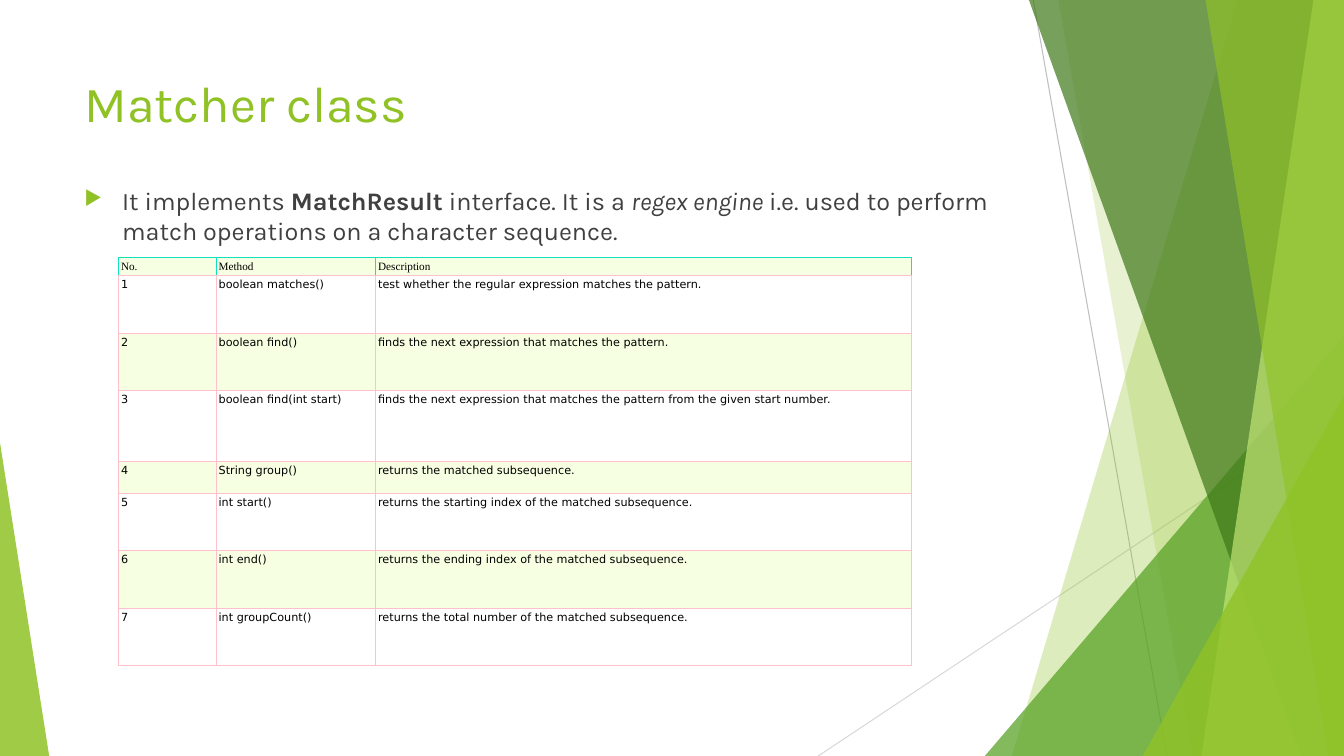
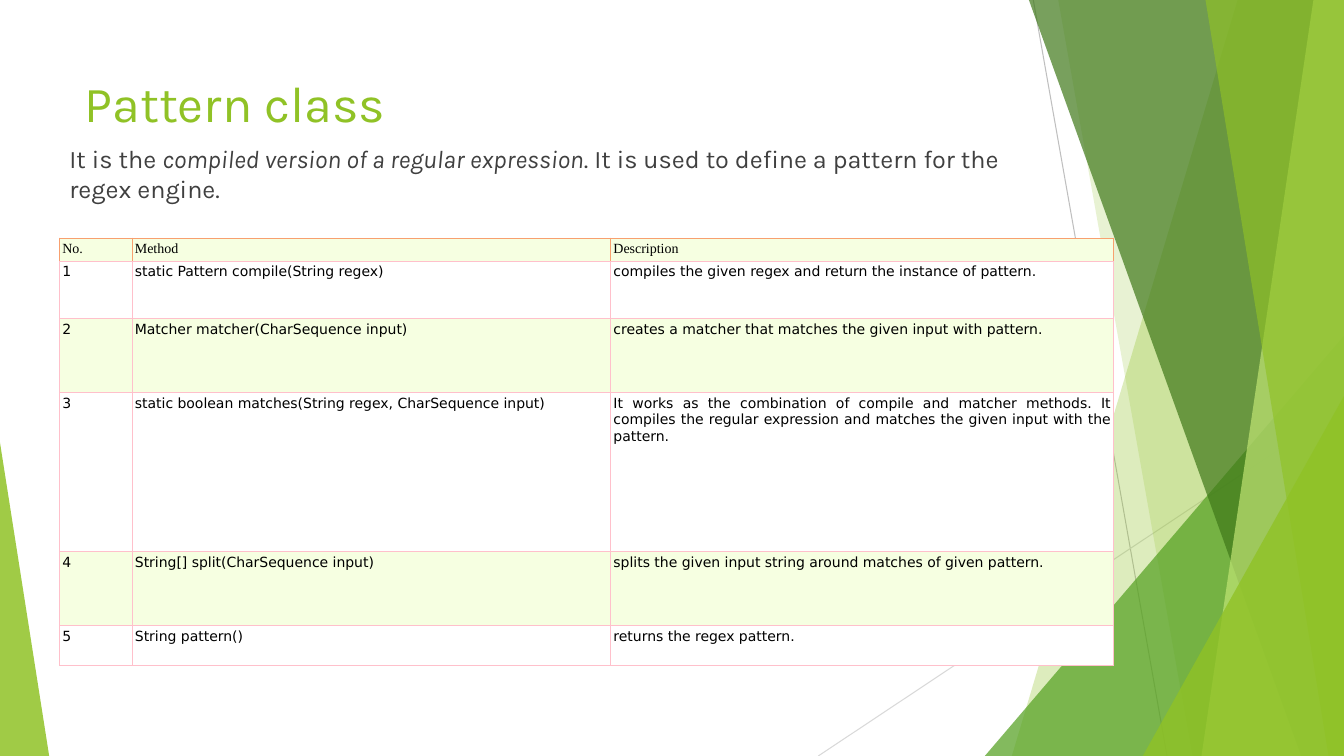
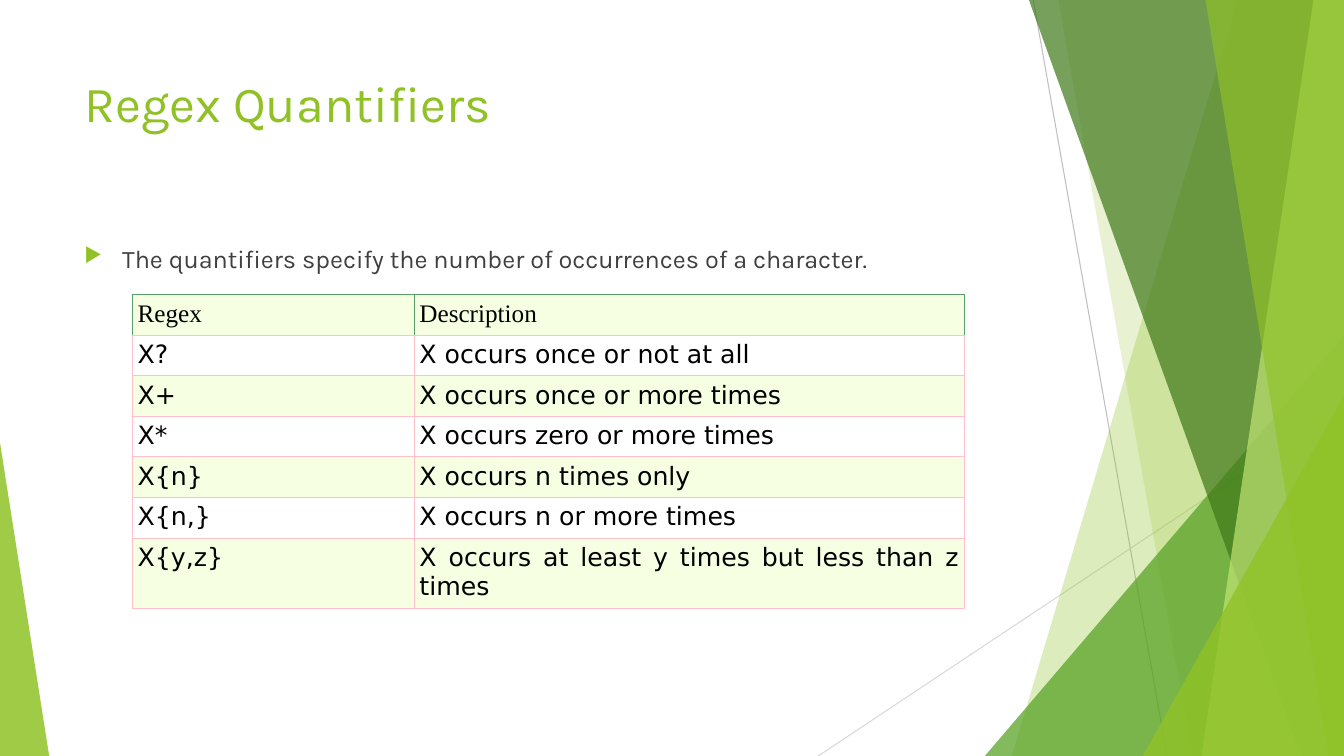
from lxml.etree import SubElement
from pptx import Presentation
from pptx.dml.color import RGBColor
from pptx.enum.shapes import MSO_CONNECTOR, MSO_SHAPE
from pptx.enum.text import MSO_ANCHOR, PP_ALIGN
from pptx.oxml.ns import qn
from pptx.util import Cm, Pt

WIDTH, HEIGHT = 33.87, 19.05
GREEN, GRAY, BLACK, WHITE = "90C226", "404040", "000000", "FFFFFF"
PALE, PINK = "F6FFE1", "FFC0CB"
FONT, HEADER_FONT, CELL_FONT = "Karla", "Times New Roman", "DejaVu Sans"
TITLE_BOX = (1.88, 1.7, 23.88, 3.66)
FACETS_BOX = (20.62, 0, 13.25, HEIGHT)
CORNER_BOX = (0, 11.15, 1.24, 7.9)


def color(value):
    return RGBColor.from_string(value)


def paint(shape, value, opacity):
    shape.shadow.inherit = False
    shape.line.fill.background()
    shape.fill.solid()
    shape.fill.fore_color.rgb = color(value)
    rgb = shape.fill._xPr.find(".//" + qn("a:srgbClr"))
    SubElement(rgb, qn("a:alpha"), val=str(opacity * 1000))


def add_line(s, start, end, value):
    line = s.shapes.add_connector(MSO_CONNECTOR.STRAIGHT, *map(Cm, start + end))
    line.line.color.rgb = color(value)
    line.line.width = Pt(0.75)
    SubElement(line._element.spPr, qn("a:effectLst"))


def add_triangle(s, box, apex, value, opacity):
    triangle = s.shapes.add_shape(MSO_SHAPE.ISOSCELES_TRIANGLE, *map(Cm, box))
    triangle.adjustments[0] = apex
    paint(triangle, value, opacity)


def add_facets(s, box):
    left, top, width, height = box
    right, bottom = left + width, top + height

    def band(upper, lower, value, opacity):
        builder = s.shapes.build_freeform(Cm(left + upper), Cm(top))
        corners = [(right, top), (right, bottom), (left + lower, bottom)]
        builder.add_line_segments([(Cm(x), Cm(y)) for x, y in corners], close=True)
        paint(builder.convert_to_shape(), value, opacity)

    def wedge(x, y, value, opacity):
        add_triangle(s, (left + x, top + y, width - x, height - y), 1, value, opacity)

    add_line(s, (left + 5.42, top), (left + 8.79, bottom), "BFBFBF")
    add_line(s, (right, top + 10.24), (left, bottom), "D9D9D9")
    band(10.57, 4.88, GREEN, 30)
    band(6.05, 9.43, GREEN, 20)
    wedge(4.2, 8.46, "54A021", 72)
    band(5.31, 12.17, "3F7819", 70)
    band(12.48, 9.66, "C0E474", 70)
    band(9.76, 12.86, GREEN, 65)
    wedge(8.18, 9.98, GREEN, 80)


def add_run(p, text, font, size, value, bold=False, italic=False):
    r = p.add_run()
    r.text = text
    r.font.name, r.font.size = font, Pt(size)
    r.font.bold, r.font.italic = bold, italic
    r.font.color.rgb = color(value)


def add_text_box(s, box):
    tf = s.shapes.add_textbox(*map(Cm, box)).text_frame
    tf.word_wrap = True
    tf.vertical_anchor = MSO_ANCHOR.TOP
    return tf.paragraphs[0]


def add_bullet(p):
    pPr = p._p.get_or_add_pPr()
    pPr.set("marL", str(Cm(0.95)))
    pPr.set("indent", str(-Cm(0.95)))
    SubElement(SubElement(pPr, qn("a:buClr")), qn("a:srgbClr"), val=GREEN)
    SubElement(pPr, qn("a:buSzPct"), val="80000")
    SubElement(pPr, qn("a:buChar"), char="▶")


def add_body(s, box, runs, bullet):
    p = add_text_box(s, box)
    if bullet:
        add_bullet(p)
    for text, style in runs:
        add_run(p, text, FONT, 18, GRAY, style == "bold", style == "italic")


def set_borders(cell, edge):
    tcPr = cell._tc.get_or_add_tcPr()
    for position, (side, value) in enumerate(zip("LRTB", (edge, edge, edge, PINK))):
        ln = SubElement(tcPr, qn("a:ln" + side), w=str(Pt(0.75)))
        fill = SubElement(ln, qn("a:solidFill"))
        SubElement(fill, qn("a:srgbClr"), val=value)
        tcPr.insert(position, ln)


def add_grid(s, origin, widths, heights, rows, size, inset, header_edge):
    box = (*origin, sum(widths), sum(heights))
    table = s.shapes.add_table(len(rows), len(widths), *map(Cm, box)).table
    table.first_row = table.horz_banding = False
    for column, width in zip(table.columns, widths):
        column.width = Cm(width)
    for i, (row, height, texts) in enumerate(zip(table.rows, heights, rows)):
        row.height = Cm(height)
        for cell, text in zip(row.cells, texts):
            cell.margin_left = cell.margin_right = Cm(inset)
            cell.margin_top = cell.margin_bottom = Cm(inset)
            cell.fill.solid()
            cell.fill.fore_color.rgb = color(WHITE if i % 2 else PALE)
            set_borders(cell, PINK if i else header_edge)
            p = cell.text_frame.paragraphs[0]
            p.alignment = PP_ALIGN.JUSTIFY if i else PP_ALIGN.LEFT
            add_run(p, text, CELL_FONT if i else HEADER_FONT, size, BLACK)


def add_slide(prs, title):
    s = prs.slides.add_slide(prs.slide_layouts[6])
    add_facets(s, FACETS_BOX)
    add_triangle(s, CORNER_BOX, 0, GREEN, 85)
    add_run(add_text_box(s, TITLE_BOX), title, FONT, 36, GREEN)
    return s


def numbered(methods):
    rows = [(str(n), *method) for n, method in enumerate(methods, 1)]
    return [("No.", "Method", "Description")] + rows


def matcher_slide(prs):
    s = add_slide(prs, "Matcher class")
    add_body(s, (1.88, 4.55, 23.88, 12.24), [
        ("It implements ", None),
        ("MatchResult", "bold"),
        (" interface. It is a ", None),
        ("regex engine", "italic"),
        (" i.e. used to perform match operations on a character sequence.", None),
    ], bullet=True)
    rows = numbered([
        ("boolean matches()", "test whether the regular expression matches the pattern."),
        ("boolean find()", "finds the next expression that matches the pattern."),
        ("boolean find(int start)",
         "finds the next expression that matches the pattern from the given start number."),
        ("String group()", "returns the matched subsequence."),
        ("int start()", "returns the starting index of the matched subsequence."),
        ("int end()", "returns the ending index of the matched subsequence."),
        ("int groupCount()", "returns the total number of the matched subsequence."),
    ])
    heights = [0.45, 1.45, 1.45, 1.79, 0.79, 1.45, 1.45, 1.45]
    add_grid(s, (2.99, 6.49), [2.46, 4.02, 13.49], heights, rows, 8, 0.06, "10E2BC")


def pattern_slide(prs):
    s = add_slide(prs, "Pattern class")
    add_body(s, (1.5, 3.48, 24.26, 13.31), [
        ("It is the ", None),
        ("compiled version of a regular expression", "italic"),
        (". It is used to define a pattern for the regex engine.", None),
    ], bullet=False)
    rows = numbered([
        ("static Pattern compile(String regex)",
         "compiles the given regex and return the instance of pattern."),
        ("Matcher matcher(CharSequence input)",
         "creates a matcher that matches the given input with pattern."),
        ("static boolean matches(String regex, CharSequence input)",
         "It works as the combination of compile and matcher methods. "
         "It compiles the regular expression and matches the given input with the pattern."),
        ("String[] split(CharSequence input)",
         "splits the given input string around matches of given pattern."),
        ("String pattern()", "returns the regex pattern."),
    ])
    heights = [0.58, 1.45, 1.87, 4, 1.87, 1]
    add_grid(s, (1.5, 6), [1.83, 12.06, 12.67], heights, rows, 10, 0.07, "F8A06F")


def quantifiers_slide(prs):
    s = add_slide(prs, "Regex Quantifiers")
    add_body(s, (1.88, 6, 23.88, 10.77), [
        ("The quantifiers specify the number of occurrences of a character.", None),
    ], bullet=True)
    rows = [
        ("Regex", "Description"),
        ("X?", "X occurs once or not at all"),
        ("X+", "X occurs once or more times"),
        ("X*", "X occurs zero or more times"),
        ("X{n}", "X occurs n times only"),
        ("X{n,}", "X occurs n or more times"),
        ("X{y,z}", "X occurs at least y times but less than z times"),
    ]
    heights = [0.96] + [1] * 5 + [1.74]
    add_grid(s, (3.34, 7.42), [7.1, 13.86], heights, rows, 18, 0.13, "58A06A")


def main():
    prs = Presentation()
    prs.slide_width, prs.slide_height = Cm(WIDTH), Cm(HEIGHT)
    matcher_slide(prs)
    pattern_slide(prs)
    quantifiers_slide(prs)
    prs.save("out.pptx")


if __name__ == "__main__":
    main()
